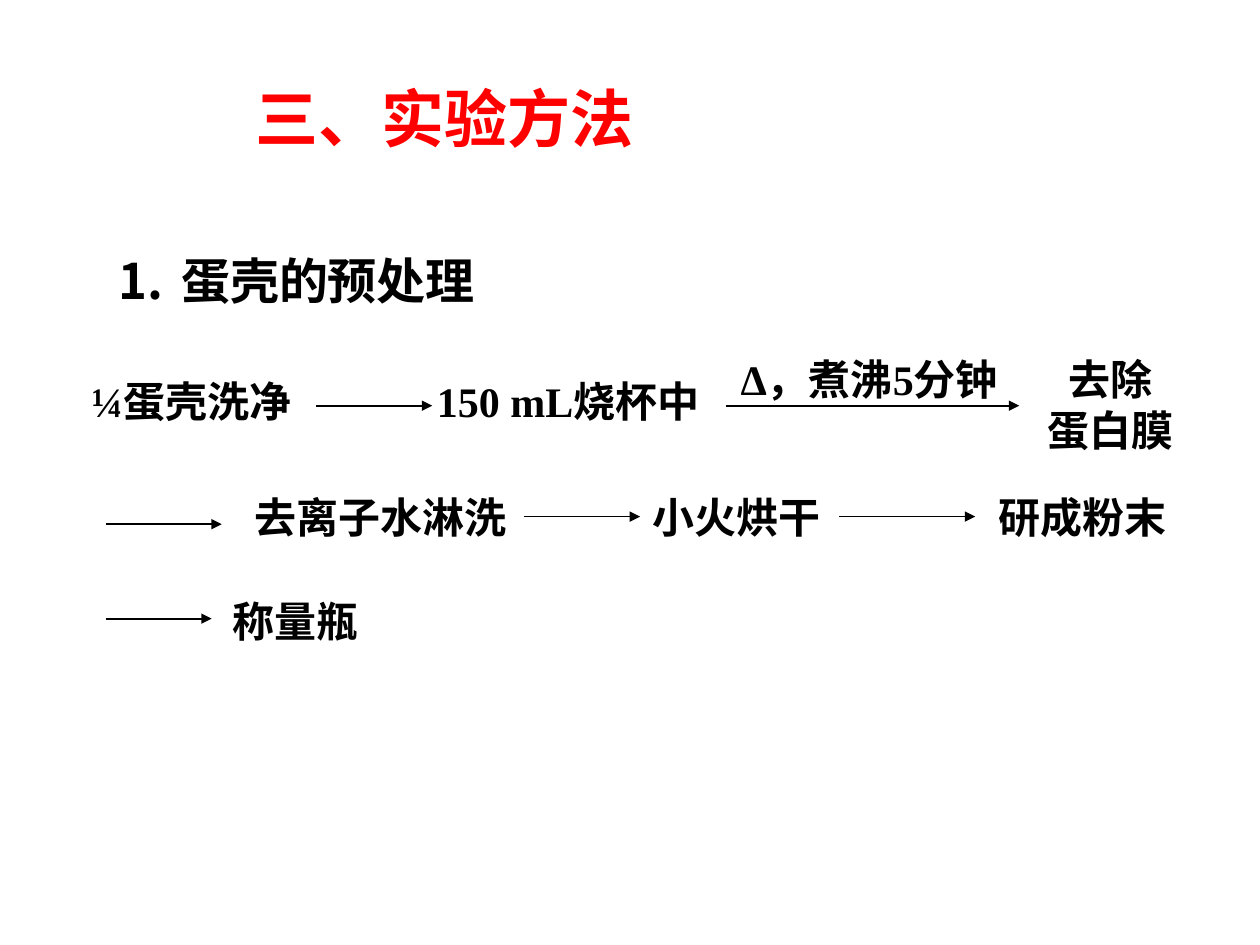
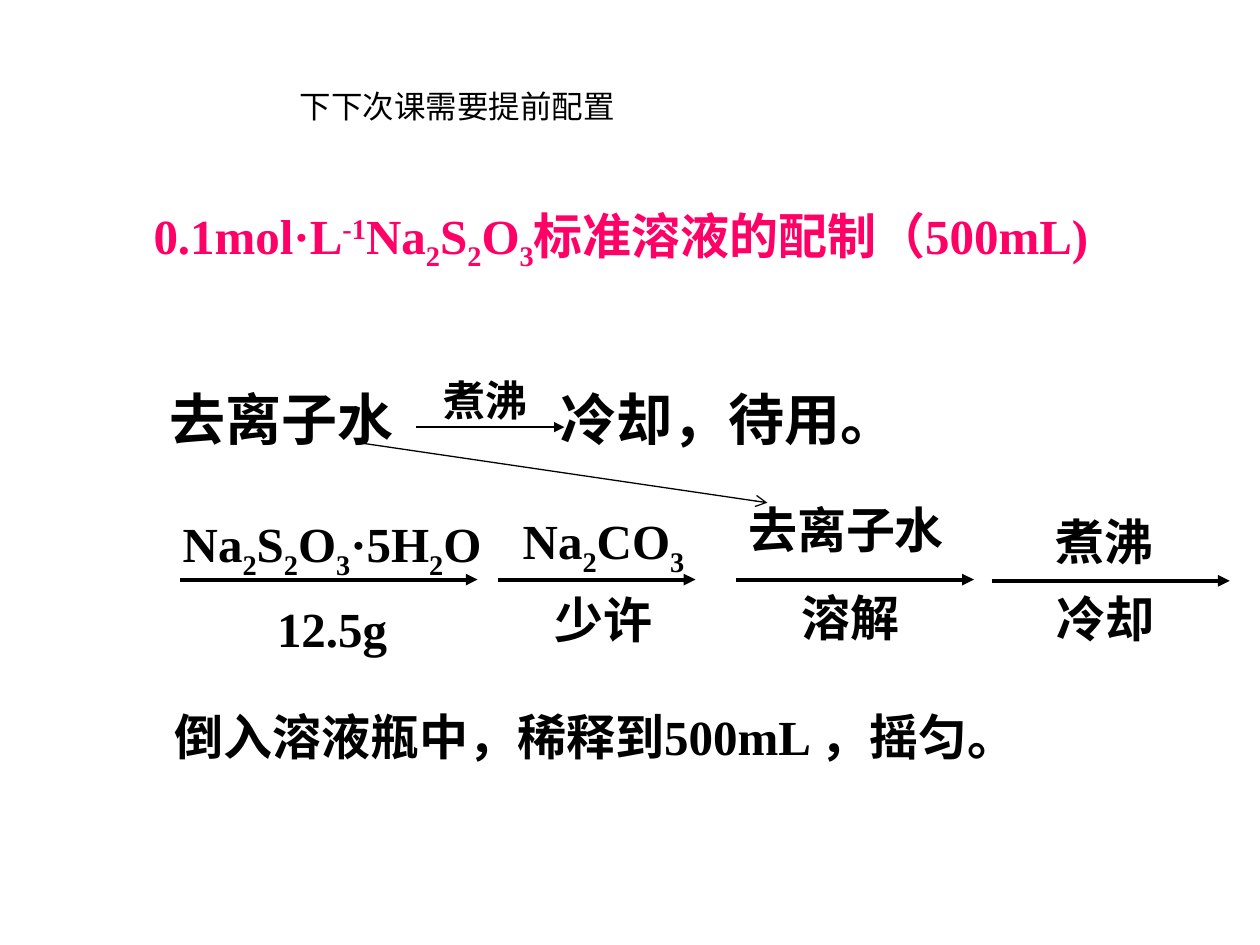
import lxml.etree
import pptx
import pptx.dml.color
import pptx.enum.lang
import pptx.enum.shapes
import pptx.enum.text
import pptx.oxml.ns
import pptx.util

BLACK = pptx.dml.color.RGBColor(0x00, 0x00, 0x00)
RED = pptx.dml.color.RGBColor(0xFF, 0x00, 0x00)
PINK = pptx.dml.color.RGBColor(0xFF, 0x00, 0x66)
SERIF, SANS = "Times New Roman", "Arial"
CENTER = pptx.enum.text.PP_ALIGN.CENTER
TOP = pptx.enum.text.MSO_ANCHOR.TOP
MIDDLE = pptx.enum.text.MSO_ANCHOR.MIDDLE
BOTTOM = pptx.enum.text.MSO_ANCHOR.BOTTOM

WIDTH, HEIGHT = pptx.util.Inches(10), pptx.util.Inches(7.5)
COLUMNS, ROWS = 100, 75
SUBSCRIPT, SUPERSCRIPT = "-25000", "30000"
THIOSULFATE = ["Na", 2, "S", 2, "O", 3]


def across(columns):
    return round(WIDTH * columns / COLUMNS)


def down(rows):
    return round(HEIGHT * rows / ROWS)


def add_element(parent, tag, **attributes):
    return lxml.etree.SubElement(
        parent, pptx.oxml.ns.qn(tag), {name: str(value) for name, value in attributes.items()})


def add_spans(para, parts, size, color, font, bold):
    """Write strings on the line, positive numbers below it, negative ones above it."""
    for part in parts:
        span = para.add_run()
        span.text = str(part)
        span.font.size = pptx.util.Pt(size)
        span.font.name = font
        span.font.bold = bold
        span.font.color.rgb = color
        span.font.language_id = pptx.enum.lang.MSO_LANGUAGE_ID.SIMPLIFIED_CHINESE
        if isinstance(part, int):
            baseline = SUBSCRIPT if part > 0 else SUPERSCRIPT
            span._r.get_or_add_rPr().set("baseline", baseline)


def add_text(page, place, lines, size=24, color=BLACK, font=SERIF, bold=True,
             align=None, anchor=TOP, spacing=None):
    """Place is left, top, width, height in grid units; each line is a list of parts."""
    left, top, width, height = place
    box = page.shapes.add_textbox(across(left), down(top), across(width), down(height))
    frame = box.text_frame
    frame.word_wrap = True
    frame.vertical_anchor = anchor
    for index, parts in enumerate(lines):
        para = frame.paragraphs[0] if index == 0 else frame.add_paragraph()
        para.alignment = align
        para.line_spacing = spacing
        add_spans(para, parts, size, color, font, bold)
    return frame


def number_paragraph(para, indent):
    properties = para._p.get_or_add_pPr()
    properties.set("marL", str(indent))
    properties.set("indent", str(-indent))
    add_element(properties, "a:buFont", typeface=SANS)
    add_element(properties, "a:buAutoNum", type="arabicPeriod")


def add_tab_stop(para, position):
    stops = add_element(para._p.get_or_add_pPr(), "a:tabLst")
    add_element(stops, "a:tab", pos=position, algn="l")


def add_arrow(page, start, end, weight=1, head="triangle"):
    arrow = page.shapes.add_connector(
        pptx.enum.shapes.MSO_CONNECTOR.STRAIGHT,
        across(start[0]), down(start[1]), across(end[0]), down(end[1]))
    arrow.line.color.rgb = BLACK
    arrow.line.width = pptx.util.Pt(weight)
    add_element(arrow.line._get_or_add_ln(), "a:tailEnd", type=head)
    add_element(arrow._element.spPr, "a:effectLst")


def add_level_arrows(page, arrows, weight):
    for left, right, row in arrows:
        add_arrow(page, (left, row), (right, row), weight)


def build_eggshell_page(page):
    add_text(page, (19.3, 6, 42.6, 6.8), [["三、实验方法"]], 36, RED, anchor=BOTTOM)
    heading = add_text(page, (8.4, 19.4, 32, 5.7), [["蛋壳的预处理"]], 28)
    number_paragraph(heading.paragraphs[0], across(5))

    steps = [
        ("¼蛋壳洗净", 6.3, 29.3, 19.4),
        ("150 mL烧杯中", 33.7, 29.3, 24.6),
        ("Δ，煮沸5分钟", 57.8, 27.6, 25.6),
        ("去离子水淋洗", 19.2, 38.5, 22.8),
        ("小火烘干", 50.8, 38.5, 16),
        ("研成粉末", 78.3, 38.5, 16),
        ("称量瓶", 17.5, 46.8, 12.8),
    ]
    for step, left, top, width in steps:
        add_text(page, (left, top, width, 5), [[step]])
    add_text(page, (81.7, 27.6, 12.8, 9), [["去除"], ["蛋白膜"]], align=CENTER)

    add_level_arrows(page, [
        (25.1, 34.3, 32.2), (57.6, 80.9, 32.2),
        (8.4, 17.6, 41.6), (41.6, 50.8, 41), (66.6, 77.4, 41),
        (8.4, 16.8, 49.1),
    ], weight=1)


def build_solution_page(page):
    add_text(page, (22.3, 6.4, 28, 4), [["下下次课需要提前配置"]], 18,
             font=SANS, bold=False, align=CENTER)
    add_text(page, (11.2, 14.7, 88.8, 7.5),
             [["0.1mol·L", -1, *THIOSULFATE, "标准溶液的配制（500mL)"]],
             28, PINK, anchor=MIDDLE, spacing=1.2)

    water = add_text(page, (12.5, 30, 74.8, 6.4), [["去离子水\t冷却，待用。"]], 32)
    add_tab_stop(water.paragraphs[0], across(31))
    add_text(page, (34.2, 29.2, 10, 5), [["煮沸"]])
    add_arrow(page, (33, 33.9), (44.8, 33.9), 0.75)
    add_arrow(page, (28.9, 35.2), (60.9, 39.9), 0.75, head="arrow")

    add_text(page, (12.9, 38.7, 26.9, 14), [[*THIOSULFATE, "·5H", 2, "O"], ["12.5g"]],
             28, align=CENTER, spacing=1.3)
    add_text(page, (39.9, 39, 16, 13), [["Na", 2, "CO", 3], ["少许"]],
             28, align=CENTER, spacing=1.2)
    add_text(page, (58.4, 39.7, 21.3, 5.2), [["去离子水"]], 28, spacing=0.9)
    add_text(page, (82.8, 40.6, 11.7, 5.2), [["煮沸"]], 28, spacing=0.9)
    add_text(page, (62.6, 46.1, 11.7, 5.7), [["溶解"]], 28)
    add_text(page, (82.9, 46.2, 11.7, 5.7), [["冷却"]], 28)
    add_level_arrows(page, [
        (14.3, 37.9, 46), (39.5, 55.2, 46), (58.4, 77.3, 46), (78.7, 97.6, 46.1),
    ], weight=2.25)

    add_text(page, (12.9, 55.6, 74, 5.7), [["倒入溶液瓶中，稀释到500mL ，摇匀。"]], 28)


def main():
    deck = pptx.Presentation()
    deck.slide_width, deck.slide_height = WIDTH, HEIGHT
    blank = deck.slide_layouts[6]
    for build in (build_eggshell_page, build_solution_page):
        build(deck.slides.add_slide(blank))
    deck.save("out.pptx")


if __name__ == "__main__":
    main()
